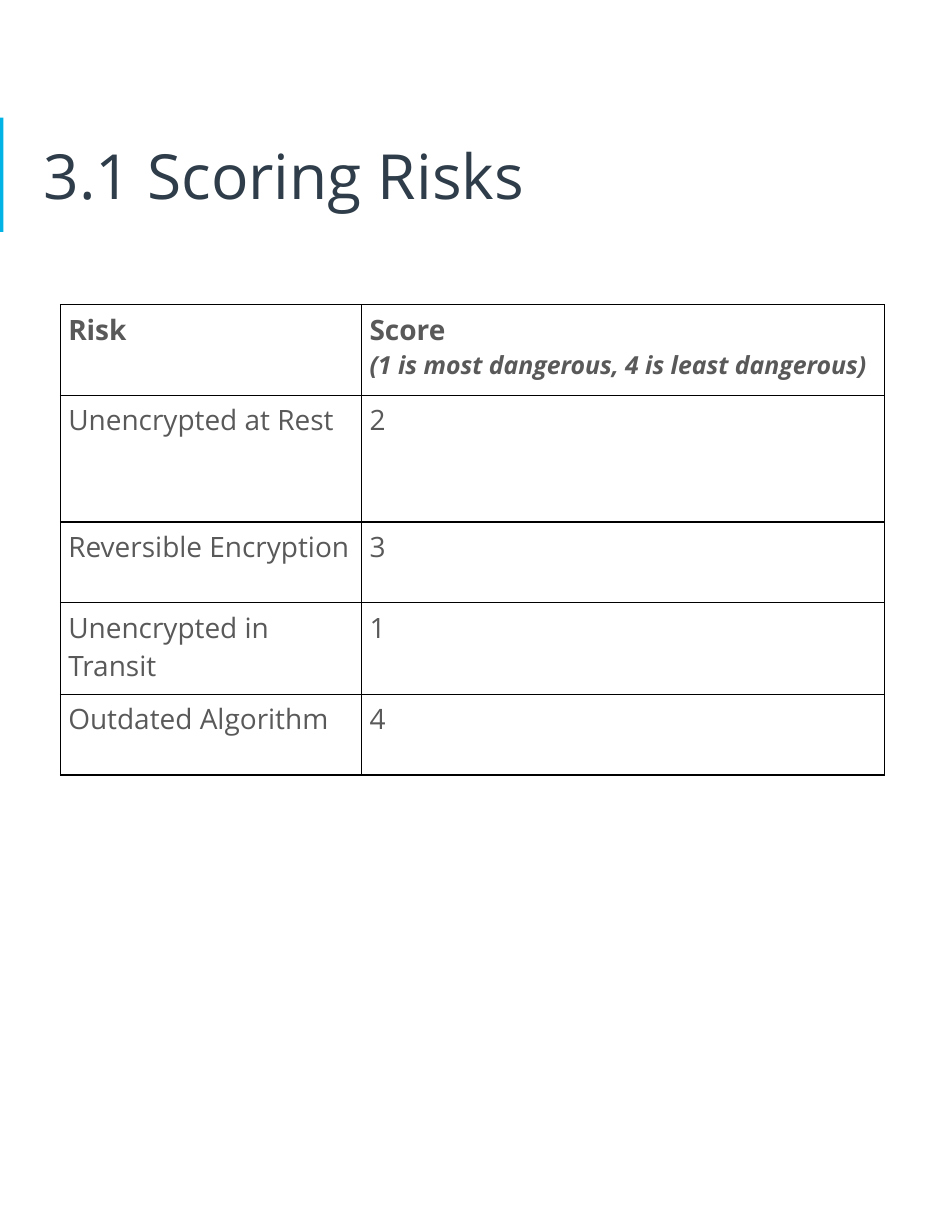
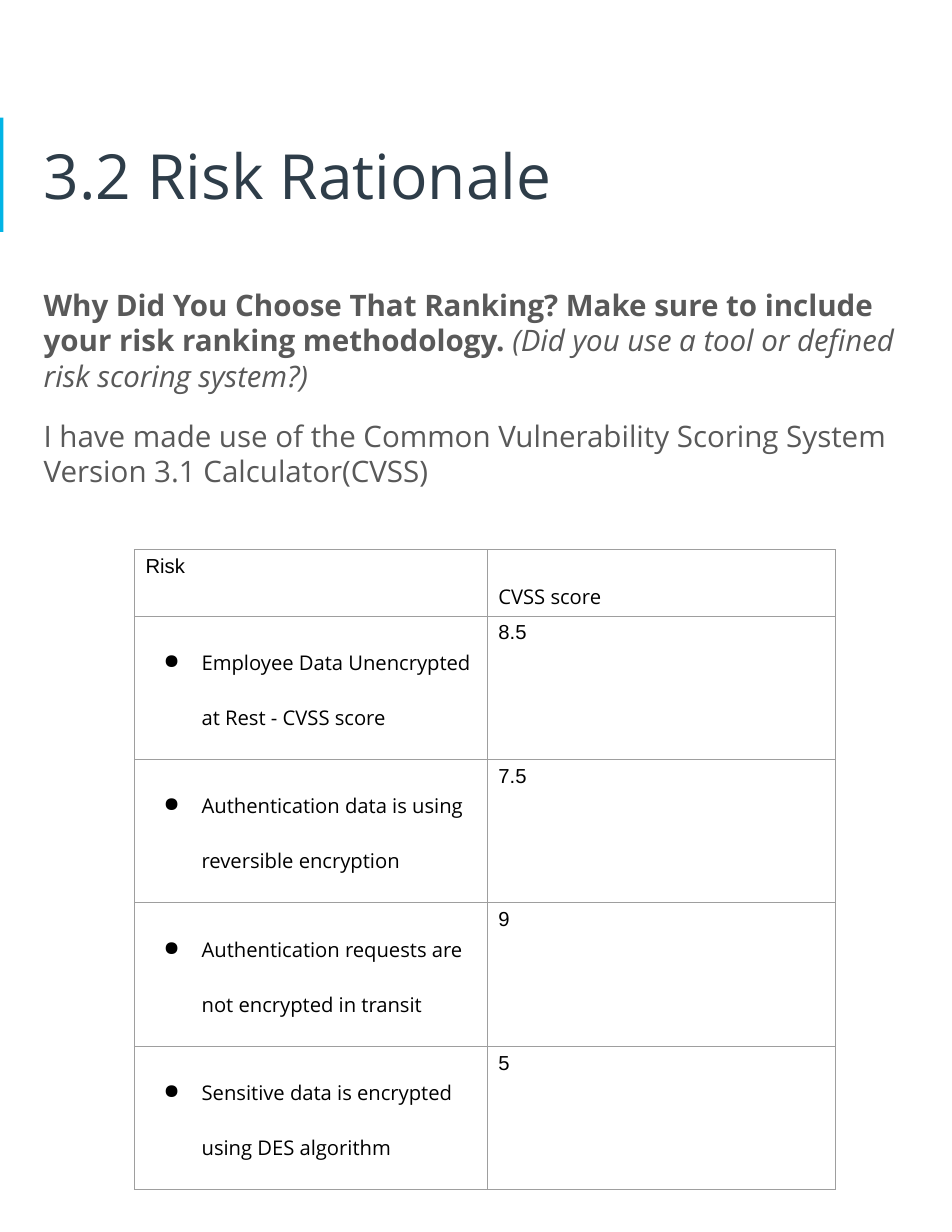
from dataclasses import dataclass

from lxml import etree
from pptx import Presentation
from pptx.dml.color import RGBColor
from pptx.enum.shapes import MSO_SHAPE
from pptx.enum.text import MSO_ANCHOR, MSO_AUTO_SIZE, PP_ALIGN
from pptx.oxml.ns import qn
from pptx.util import Inches, Pt

RECTANGLE = MSO_SHAPE.RECTANGLE
TOP, MIDDLE = MSO_ANCHOR.TOP, MSO_ANCHOR.MIDDLE
LEFT = PP_ALIGN.LEFT
NO_AUTOFIT = MSO_AUTO_SIZE.NONE
TITLE_AND_BODY, TITLE_ONLY = 1, 5
SLIDE_WIDTH, SLIDE_HEIGHT = Inches(8.5), Inches(11)
BORDER_SIDES = ("a:lnL", "a:lnR", "a:lnT", "a:lnB")


@dataclass(frozen=True)
class Theme:
    accent: str = "02B4E5"
    heading: str = "2E3D49"
    text: str = "595959"
    ink: str = "000000"
    grid: str = "9E9E9E"
    font: str = "Open Sans"
    plain_font: str = "Arial"
    title_size: float = 40
    body_size: float = 19
    table_size: float = 18
    note_size: float = 16
    small_size: float = 13


THEME = Theme()


@dataclass(frozen=True)
class TableLook:
    border: str
    border_width: float
    side_margin: float


SCORE_LOOK = TableLook(THEME.ink, 0.96, 0.07)
CVSS_LOOK = TableLook(THEME.grid, 0.75, 0.1)


def across(percent):
    return round(SLIDE_WIDTH * percent / 100)


def down(percent):
    return round(SLIDE_HEIGHT * percent / 100)


def box(left, top, width, height):
    return across(left), down(top), across(width), down(height)


TITLE_BOX = box(3.41, 8.64, 93.18, 11.09)
BODY_BOX = box(3.41, 22.36, 93.18, 76.91)
ACCENT_BOX = box(0, 9.55, 0.35, 9.27)


def style(size, color=THEME.text, name=THEME.font, bold=False, italic=False):
    return {"size": Pt(size), "name": name, "bold": bold, "italic": italic}, color


TITLE = style(THEME.title_size, THEME.heading)
QUESTION = style(THEME.body_size, bold=True)
HINT = style(THEME.body_size, italic=True)
ANSWER = style(THEME.body_size)
SCORE_HEAD = style(THEME.table_size, bold=True)
SCORE_NOTE = style(THEME.note_size, bold=True, italic=True)
SCORE_TEXT = style(THEME.table_size)
CVSS_TEXT = style(THEME.small_size, THEME.ink)
CVSS_PLAIN = style(THEME.small_size, THEME.ink, THEME.plain_font)


def write(paragraph, runs, spacing=1.0, before=0):
    layout = {"alignment": LEFT, "line_spacing": spacing, "space_before": Pt(before)}
    for attribute, value in layout.items():
        setattr(paragraph, attribute, value)
    for text, (font_format, color) in runs:
        run = paragraph.add_run()
        run.text = text
        for attribute, value in font_format.items():
            setattr(run.font, attribute, value)
        run.font.color.rgb = RGBColor.from_string(color)


def write_all(frame, paragraphs):
    for index, (runs, options) in enumerate(paragraphs):
        paragraph = frame.add_paragraph() if index else frame.paragraphs[0]
        write(paragraph, runs, **options)


def set_list(paragraph, left, hanging, bullet=None):
    properties = paragraph._p.get_or_add_pPr()
    properties.set("marL", str(Inches(left)))
    properties.set("indent", str(-Inches(hanging)))
    if bullet is None:
        etree.SubElement(properties, qn("a:buNone"))
        return
    color = etree.SubElement(properties, qn("a:buClr"))
    etree.SubElement(color, qn("a:srgbClr"), val=THEME.ink)
    etree.SubElement(properties, qn("a:buChar"), char=bullet)


def fill_placeholder(holder, bounds, anchor, paragraphs):
    for attribute, value in zip(("left", "top", "width", "height"), bounds):
        setattr(holder, attribute, value)
    frame = holder.text_frame
    settings = {"word_wrap": True, "auto_size": NO_AUTOFIT, "vertical_anchor": anchor}
    settings |= {f"margin_{side}": Inches(0.1) for side in ("left", "top", "right", "bottom")}
    for attribute, value in settings.items():
        setattr(frame, attribute, value)
    write_all(frame, paragraphs)


def add_section(deck, layout, heading):
    slide = deck.slides.add_slide(deck.slide_layouts[layout])
    accent = slide.shapes.add_shape(RECTANGLE, *ACCENT_BOX)
    accent.shadow.inherit = False
    accent.fill.solid()
    accent.fill.fore_color.rgb = RGBColor.from_string(THEME.accent)
    accent.line.fill.background()
    fill_placeholder(slide.shapes.title, TITLE_BOX, MIDDLE, [([(heading, TITLE)], {})])
    return slide


def outline(cell, look):
    properties = cell._tc.get_or_add_tcPr()
    for position, side in enumerate(BORDER_SIDES):
        line = etree.Element(qn(side), w=str(Pt(look.border_width)))
        fill = etree.SubElement(line, qn("a:solidFill"))
        etree.SubElement(fill, qn("a:srgbClr"), val=look.border)
        properties.insert(position, line)


def add_grid(slide, left, top, widths, heights, rows, look):
    bounds = box(left, top, sum(widths), sum(heights))
    table = slide.shapes.add_table(len(heights), len(widths), *bounds).table
    table.first_row = table.horz_banding = False
    for column, width in zip(table.columns, widths):
        column.width = across(width)
    for row, height, contents in zip(table.rows, heights, rows):
        row.height = down(height)
        for cell, paragraphs in zip(row.cells, contents):
            settings = {
                "margin_left": Inches(look.side_margin),
                "margin_right": Inches(look.side_margin),
                "margin_top": Inches(0.05),
                "margin_bottom": Inches(0.05),
                "vertical_anchor": TOP,
            }
            for attribute, value in settings.items():
                setattr(cell, attribute, value)
            cell.fill.background()
            outline(cell, look)
            write_all(cell.text_frame, paragraphs)
    return table


def entry(text, look, **options):
    return [([(text, look)], options)]


def add_scoring(deck):
    slide = add_section(deck, TITLE_ONLY, "3.1 Scoring Risks")
    scores = [
        ("Unencrypted at Rest", "2"),
        ("Reversible Encryption", "3"),
        ("Unencrypted in Transit", "1"),
        ("Outdated Algorithm", "4"),
    ]
    score_heading = entry("Score", SCORE_HEAD) + entry(
        "(1 is most dangerous, 4 is least dangerous)", SCORE_NOTE
    )
    rows = [(entry("Risk", SCORE_HEAD), score_heading)]
    rows += [[entry(text, SCORE_TEXT) for text in pair] for pair in scores]
    heights = (7.36, 10.27, 6.55, 7.45, 6.55)
    add_grid(slide, 6.35, 24.73, (31.65, 54.94), heights, rows, SCORE_LOOK)


def add_rationale(deck):
    slide = add_section(deck, TITLE_AND_BODY, "3.2 Risk Rationale")
    question = [
        (
            "Why Did You Choose That Ranking? Make sure to include your risk "
            "ranking methodology. ",
            QUESTION,
        ),
        ("(Did you use a tool or defined risk scoring system?)", HINT),
    ]
    answer = entry(
        "I have made use of the Common Vulnerability Scoring System "
        "Version 3.1 Calculator(CVSS)",
        ANSWER,
        before=16,
    )
    body = slide.placeholders[1]
    fill_placeholder(body, BODY_BOX, TOP, [(question, {})] + answer)
    for paragraph in body.text_frame.paragraphs:
        set_list(paragraph, 0, 0)

    scores = [
        ("Employee Data Unencrypted at Rest - CVSS score", "8.5"),
        ("Authentication data is using reversible encryption", "7.5"),
        ("Authentication requests are not encrypted in transit", "9"),
        ("Sensitive data is encrypted using DES algorithm", "5"),
    ]
    rows = [(entry("Risk", CVSS_PLAIN), entry("CVSS score", CVSS_TEXT, spacing=2.0))]
    rows += [
        (entry(risk, CVSS_TEXT, spacing=2.0), entry(score, CVSS_PLAIN))
        for risk, score in scores
    ]
    heights = [5.36] + [11.64] * len(scores)
    table = add_grid(slide, 14.12, 44.64, (37.06, 36.59), heights, rows, CVSS_LOOK)
    for row in range(1, len(rows)):
        set_list(table.cell(row, 0).text_frame.paragraphs[0], 0.5, 0.34, "●")


def main():
    deck = Presentation()
    deck.slide_width, deck.slide_height = SLIDE_WIDTH, SLIDE_HEIGHT
    add_scoring(deck)
    add_rationale(deck)
    deck.save("out.pptx")


if __name__ == "__main__":
    main()
